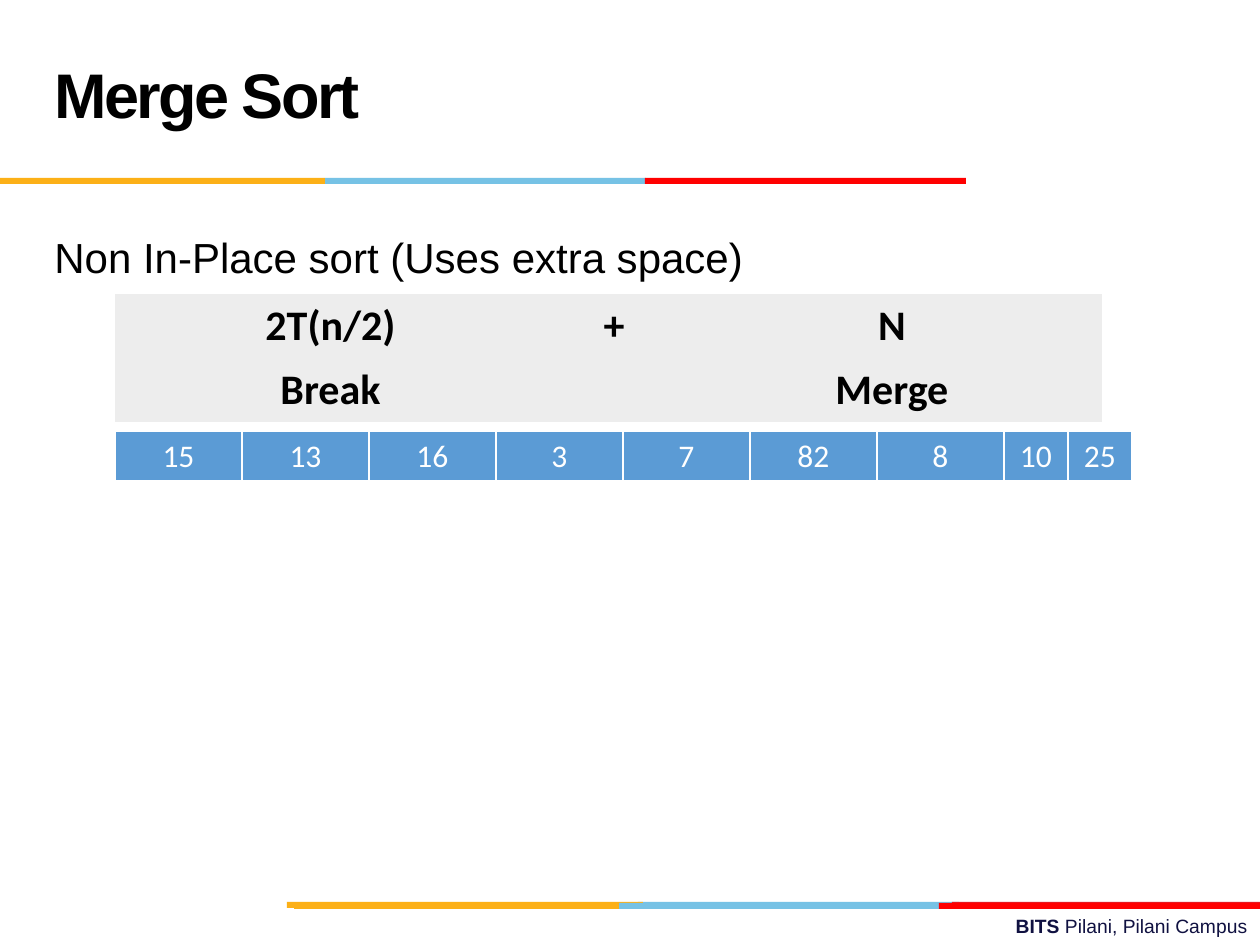
"""Build the Merge Sort slide with its cost table and sample array."""
from dataclasses import dataclass
from typing import Optional

import pptx
import pptx.dml.color
import pptx.enum.shapes
import pptx.enum.text
import pptx.oxml
import pptx.oxml.ns
import pptx.util

EMU_PER_PX = 914400 // 126
ALIGN = pptx.enum.text.PP_ALIGN
ANCHOR = pptx.enum.text.MSO_ANCHOR


@dataclass(frozen=True)
class Theme:
    black: str = "000000"
    white: str = "FFFFFF"
    navy: str = "101141"
    yellow: str = "FCB017"
    blue: str = "76C2E5"
    crimson: str = "E31C24"
    red: str = "FF0000"
    cost_fill: str = "EDEDED"
    array_fill: str = "5B9BD5"
    heading_font: str = "Arial"
    table_font: str = "Calibri"
    title_size: int = 36
    body_size: int = 24
    array_size: int = 18
    footer_size: int = 11


@dataclass(frozen=True)
class Box:
    left: int
    top: int
    width: int
    height: int

    def emu(self) -> tuple:
        return tuple(px(n) for n in (self.left, self.top, self.width, self.height))


@dataclass(frozen=True)
class Style:
    font: str
    size: int
    color: str
    bold: bool = False
    spacing: int = 0


@dataclass(frozen=True)
class Bar:
    box: Box
    color: str


@dataclass(frozen=True)
class Grid:
    left: int
    top: int
    columns: tuple
    row_height: int
    rows: tuple
    style: Style
    fill: str
    borders: Optional[dict] = None


THEME = Theme()
BAR_HEIGHT = 6
BARS = tuple(
    Bar(Box(left, top, right - left, BAR_HEIGHT), color)
    for left, top, right, color in (
        (638, 902, 959, THEME.blue),
        (952, 902, 1260, THEME.crimson),
        (287, 902, 643, THEME.yellow),
        (619, 903, 941, THEME.blue),
        (294, 903, 619, THEME.yellow),
        (939, 903, 1260, THEME.red),
        (325, 178, 646, THEME.blue),
        (0, 178, 325, THEME.yellow),
        (645, 178, 966, THEME.red),
    )
)
COST = Grid(
    115, 294, (431, 136, 420), 64,
    (("2T(n/2)", "+", "N"), ("Break", "", "Merge")),
    Style(THEME.table_font, THEME.body_size, THEME.black, bold=True),
    THEME.cost_fill,
)
ARRAY = Grid(
    115, 431, (127,) * 7 + (64,) * 2, 51,
    (("15", "13", "16", "3", "7", "82", "8", "10", "25"),),
    Style(THEME.table_font, THEME.array_size, THEME.white),
    THEME.array_fill,
    {"L": 1, "R": 1, "T": 1, "B": 3},
)


def px(length: int) -> int:
    return pptx.util.Emu(length * EMU_PER_PX)


def rgb(color: str) -> pptx.dml.color.RGBColor:
    return pptx.dml.color.RGBColor.from_string(color)


def add_run(paragraph, text: str, style: Style) -> None:
    run = paragraph.add_run()
    run.text = text
    run.font.name = style.font
    run.font.size = pptx.util.Pt(style.size)
    run.font.bold = style.bold
    run.font.color.rgb = rgb(style.color)
    if style.spacing:
        run.font._element.set("spc", str(style.spacing))


def add_text(slide, box: Box, pieces: tuple, align) -> None:
    frame = slide.shapes.add_textbox(*box.emu()).text_frame
    frame.word_wrap = True
    paragraph = frame.paragraphs[0]
    paragraph.alignment = align
    for text, style in pieces:
        add_run(paragraph, text, style)


def add_bar(slide, bar: Bar) -> None:
    stripe = slide.shapes.add_shape(
        pptx.enum.shapes.MSO_SHAPE.RECTANGLE, *bar.box.emu())
    stripe.shadow.inherit = False
    stripe.fill.solid()
    stripe.fill.fore_color.rgb = rgb(bar.color)
    stripe.line.fill.background()


def set_borders(cell, borders: Optional[dict]) -> None:
    properties = cell._tc.get_or_add_tcPr()
    for side in "LRTB":
        width = pptx.util.Pt(borders[side] if borders else 0)
        paint = (f'<a:solidFill><a:srgbClr val="{THEME.white}"/></a:solidFill>'
                 if borders else "<a:noFill/>")
        properties.append(pptx.oxml.parse_xml(
            f'<a:ln{side} {pptx.oxml.ns.nsdecls("a")} w="{width}">{paint}</a:ln{side}>'))


def add_grid(slide, grid: Grid) -> None:
    box = Box(grid.left, grid.top, sum(grid.columns), grid.row_height * len(grid.rows))
    table = slide.shapes.add_table(
        len(grid.rows), len(grid.columns), *box.emu()).table
    table.first_row = False
    table.horz_banding = False
    for column, width in zip(table.columns, grid.columns):
        column.width = px(width)
    for row, texts in zip(table.rows, grid.rows):
        row.height = px(grid.row_height)
        for cell, text in zip(row.cells, texts):
            set_borders(cell, grid.borders)
            cell.fill.solid()
            cell.fill.fore_color.rgb = rgb(grid.fill)
            paragraph = cell.text_frame.paragraphs[0]
            paragraph.alignment = ALIGN.CENTER
            if text:
                add_run(paragraph, text, grid.style)


def set_title(slide, box: Box, text: str) -> None:
    title = slide.shapes.title
    title.left, title.top, title.width, title.height = box.emu()
    frame = title.text_frame
    frame.auto_size = pptx.enum.text.MSO_AUTO_SIZE.NONE
    frame.vertical_anchor = ANCHOR.MIDDLE
    paragraph = frame.paragraphs[0]
    paragraph.alignment = ALIGN.LEFT
    paragraph.line_spacing = pptx.util.Pt(THEME.title_size)
    add_run(paragraph, text, Style(
        THEME.heading_font, THEME.title_size, THEME.black, bold=True, spacing=-150))


def main() -> None:
    deck = pptx.Presentation()
    deck.slide_width, deck.slide_height = px(1260), px(945)
    slide = deck.slides.add_slide(deck.slide_layouts[5])
    campus = Style(THEME.heading_font, THEME.footer_size, THEME.navy)
    university = Style(THEME.heading_font, THEME.footer_size, THEME.navy, bold=True)
    body = Style(THEME.heading_font, THEME.body_size, THEME.black)

    add_text(slide, Box(451, 908, 809, 37),
             (("BITS ", university), ("Pilani, Pilani Campus", campus)), ALIGN.RIGHT)
    for bar in BARS:
        add_bar(slide, bar)
    add_text(slide, Box(42, 225, 1134, 60),
             (("Non In-Place sort (Uses extra space)", body),), ALIGN.LEFT)
    set_title(slide, Box(42, 21, 872, 158), "Merge Sort")
    add_grid(slide, COST)
    add_grid(slide, ARRAY)
    deck.save("out.pptx")


if __name__ == "__main__":
    main()
